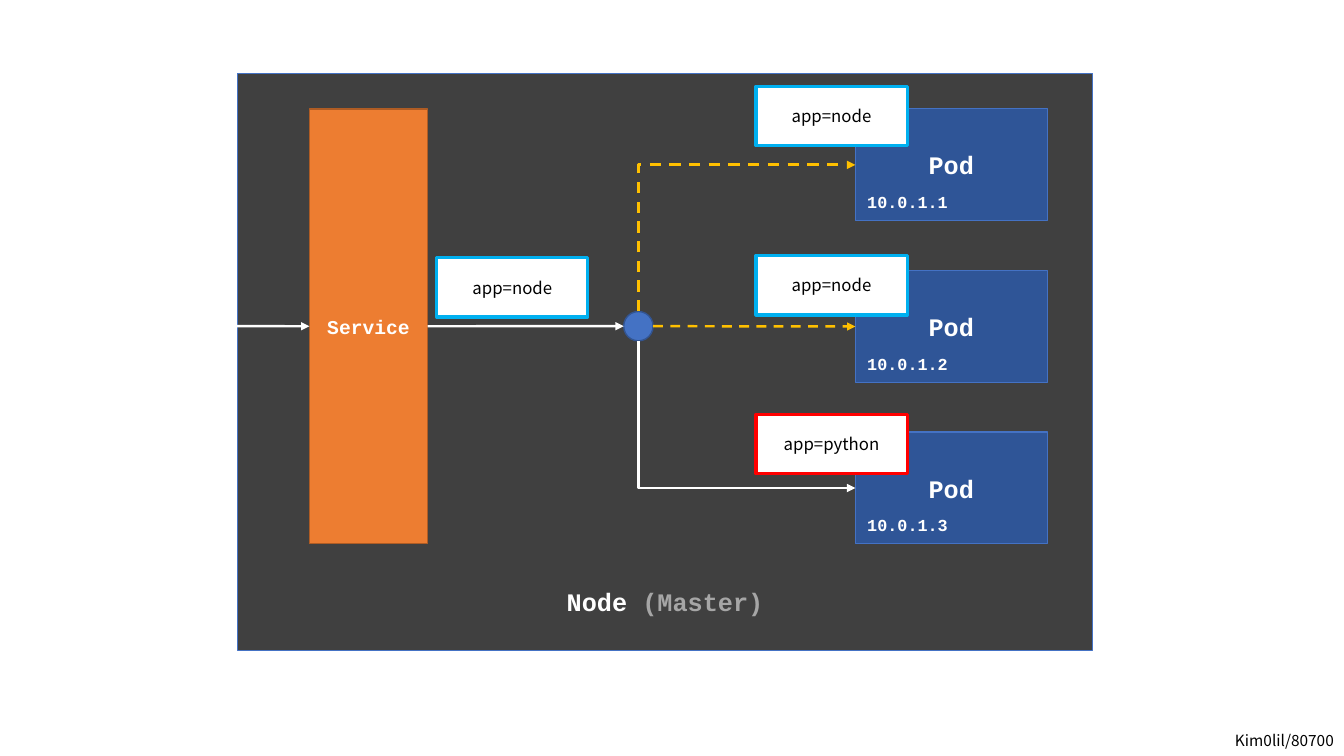
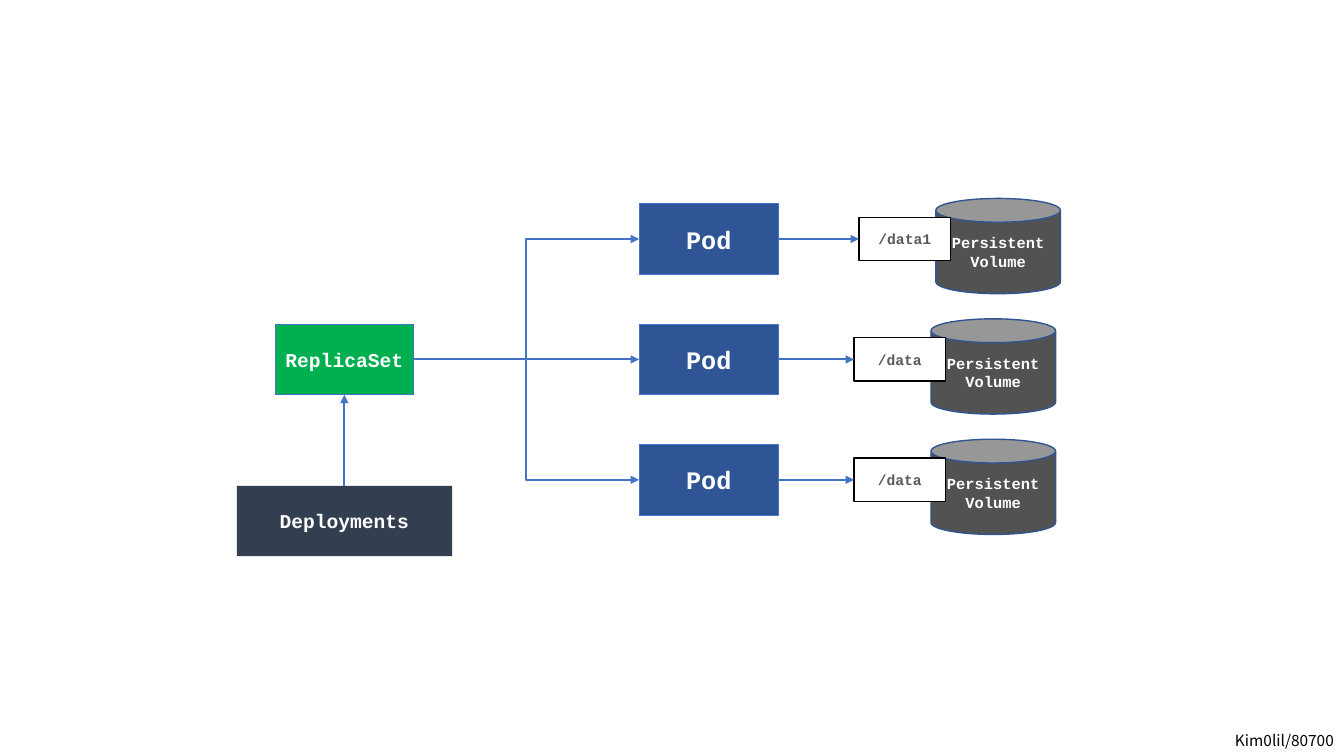
from lxml.etree import SubElement
from pptx import Presentation
from pptx.dml.color import RGBColor
from pptx.enum.dml import MSO_LINE
from pptx.enum.shapes import MSO_CONNECTOR, MSO_SHAPE
from pptx.enum.text import MSO_ANCHOR, PP_ALIGN
from pptx.oxml.ns import qn
from pptx.util import Pt

COLORS = {
    "white": "FFFFFF", "black": "000000", "blue": "4472C4", "pod": "2F5597",
    "edge": "325491", "node": "404040", "muted": "A6A6A6",
    "service": "ED7D31", "service_edge": "AF5C24", "dashed": "FFC000",
    "match": "00B0F0", "mismatch": "FF0000", "replica": "00B050",
    "deploy": "333F50", "deploy_edge": "E7E6E6", "volume": "525252",
    "mount": "595959",
}
MONO, SANS = "Courier New", "Noto Sans CJK KR"
TOP, LEFT, BOTTOM, RIGHT = range(4)


def rgb(name):
    """Return the named colour."""
    return RGBColor.from_string(COLORS[name])


def add_run(p, text, size, color="white", font=MONO):
    """Add one run; the monospaced face is always bold."""
    r = p.add_run()
    r.text = text
    r.font.size, r.font.name, r.font.bold = Pt(size), font, font == MONO
    r.font.color.rgb = rgb(color)


def add_box(s, x, y, w, h, fill, edge, width=0.75, kind=MSO_SHAPE.RECTANGLE):
    """Add a filled, outlined shape without shadow."""
    sp = s.shapes.add_shape(kind, Pt(x), Pt(y), Pt(w), Pt(h))
    sp.shadow.inherit = False
    sp.fill.solid()
    sp.fill.fore_color.rgb = rgb(fill)
    sp.line.color.rgb = rgb(edge)
    sp.line.width = Pt(width)
    return sp


def write(sp, text, size, color="white", font=MONO, align=PP_ALIGN.CENTER):
    """Write one paragraph, with a line break at each newline."""
    tf = sp.text_frame
    tf.word_wrap = True
    tf.vertical_anchor = MSO_ANCHOR.MIDDLE
    p = tf.paragraphs[0]
    p.alignment = align
    for i, line in enumerate(text.split("\n")):
        if i:
            p.add_line_break()
        add_run(p, line, size, color, font)
    return sp


def add_label(s, x, y, w, h, text, size, **style):
    """Add a text box."""
    return write(s.shapes.add_textbox(Pt(x), Pt(y), Pt(w), Pt(h)), text, size, **style)


def add_pod(s, x, y, w, h):
    """Add a pod box."""
    return write(add_box(s, x, y, w, h, "pod", "blue"), "Pod", 18)


def add_tag(s, x, y, text, edge="match"):
    """Add a white tag holding a selector label."""
    write(add_box(s, x, y, 108, 42.5, "white", edge, 2.25), text, 12, "black", SANS)


def add_arrow(s, start, end, color, width, dash=False, kind=MSO_CONNECTOR.STRAIGHT):
    """Add an arrow between two (shape, side) pairs; start may be an (x, y) point."""
    c = s.shapes.add_connector(kind, 0, 0, 0, 0)
    c.end_connect(*end)
    if isinstance(start[0], (int, float)):
        c.begin_x, c.begin_y = Pt(start[0]), Pt(start[1])
    else:
        c.begin_connect(*start)
    ends = c._element.nvCxnSpPr.cNvCxnSpPr
    for site, target in ((ends.stCxn, start[0]), (ends.endCxn, end[0])):
        # An ellipse has eight sites, so each side has twice the usual index
        if site is not None and target.auto_shape_type == MSO_SHAPE.OVAL:
            site.idx *= 2
    c.line.color.rgb = rgb(color)
    c.line.width = Pt(width)
    if dash:
        c.line.dash_style = MSO_LINE.DASH
    spPr = c._element.spPr
    SubElement(spPr.find(qn("a:ln")), qn("a:tailEnd"), type="triangle")
    SubElement(spPr, qn("a:effectLst"))
    return c


def add_corner(s, start, end, color, width, dash=False):
    """Add an arrow that runs vertically, then turns right into its target."""
    c = add_arrow(s, start, end, color, width, dash, MSO_CONNECTOR.ELBOW)
    rises = c.end_y < c.begin_y
    x, y, w, h = c.left, c.top, c.width, c.height
    c.left, c.top = x + (w - h) // 2, y + (h - w) // 2
    c.width, c.height = h, w
    spPr = c._element.spPr
    xfrm = spPr.find(qn("a:xfrm"))
    xfrm.set("rot", "5400000" if rises else "16200000")
    xfrm.set("flipH", "1")
    xfrm.set("flipV", "1" if rises else "0")
    spPr.find(qn("a:prstGeom")).set("prst", "bentConnector2")


def add_slide(prs):
    """Add a blank slide with the shared footer."""
    s = prs.slides.add_slide(prs.slide_layouts[6])
    footer = add_label(s, 818, 519, 142, 21, "Kim0lil/80700", 11,
                       color="black", font=SANS, align=PP_ALIGN.RIGHT)
    footer.text_frame.vertical_anchor = MSO_ANCHOR.TOP
    return s


def build_service(prs):
    """Show a service routing to pods by label."""
    s = add_slide(prs)
    tf = write(add_box(s, 169.5, 52.5, 611, 412, "node", "blue"), "Node ", 18).text_frame
    add_run(tf.paragraphs[0], "(Master)", 18, "muted")
    tf.vertical_anchor = MSO_ANCHOR.BOTTOM
    tf.margin_bottom = Pt(24)

    pods = []
    for i in range(3):
        y = 77.8 + 115.4 * i
        pods.append(add_pod(s, 611, y, 137, 80))
        add_label(s, 606, y + 55.5, 84.5, 22, f"10.0.1.{i + 1}", 12)
    service = write(add_box(s, 221, 77.8, 84.5, 310.5, "service", "service_edge", 1),
                    "Service", 14)
    dot = add_box(s, 445.5, 222.5, 21, 21, "blue", "edge", 1, MSO_SHAPE.OVAL)

    add_corner(s, (dot, TOP), (pods[0], LEFT), "dashed", 2, True)
    add_corner(s, (dot, BOTTOM), (pods[2], LEFT), "white", 2)
    add_arrow(s, (dot, RIGHT), (pods[1], LEFT), "dashed", 1.75, True)
    add_arrow(s, (168, 233), (service, LEFT), "white", 1.75)
    add_arrow(s, (service, RIGHT), (dot, LEFT), "white", 1.75)

    for x, y in ((312, 184), (540, 61.5), (540, 182.5)):
        add_tag(s, x, y, "app=node")
    add_tag(s, 540, 296, "app=python", "mismatch")


def build_replicas(prs):
    """Show a replica set whose pods mount persistent volumes."""
    s = add_slide(prs)
    replica = write(add_box(s, 196.5, 231.5, 99, 50.5, "replica", "blue"), "ReplicaSet", 14)
    deploy = write(add_box(s, 169, 347, 154, 50.5, "deploy", "deploy_edge"),
                   "Deployments", 14)
    for i, (x, folder) in enumerate(((613.5, "/data1"), (610, "/data"), (610, "/data"))):
        middle = 170.75 + 86 * i
        pod = add_pod(s, 456.5, middle - 25.25, 99.5, 50.5)
        kind = MSO_CONNECTOR.STRAIGHT if i == 1 else MSO_CONNECTOR.ELBOW
        add_arrow(s, (replica, RIGHT), (pod, LEFT), "blue", 1.5, kind=kind)
        volume = add_box(s, x + 55, middle - 29, 89, 68, "volume", "edge", 1, MSO_SHAPE.CAN)
        write(volume, "Persistent\nVolume", 11)
        mount = add_box(s, x, middle - 15.5, 65.5, 31, "white", "black", 1)
        write(mount, folder, 10.5, "mount")
        add_arrow(s, (pod, RIGHT), (mount, LEFT), "blue", 1.5)
    add_arrow(s, (deploy, TOP), (replica, BOTTOM), "blue", 1.5)


def main():
    """Build the deck."""
    prs = Presentation()
    prs.slide_width, prs.slide_height = Pt(960), Pt(540)
    build_service(prs)
    build_replicas(prs)
    prs.save("out.pptx")


main()
